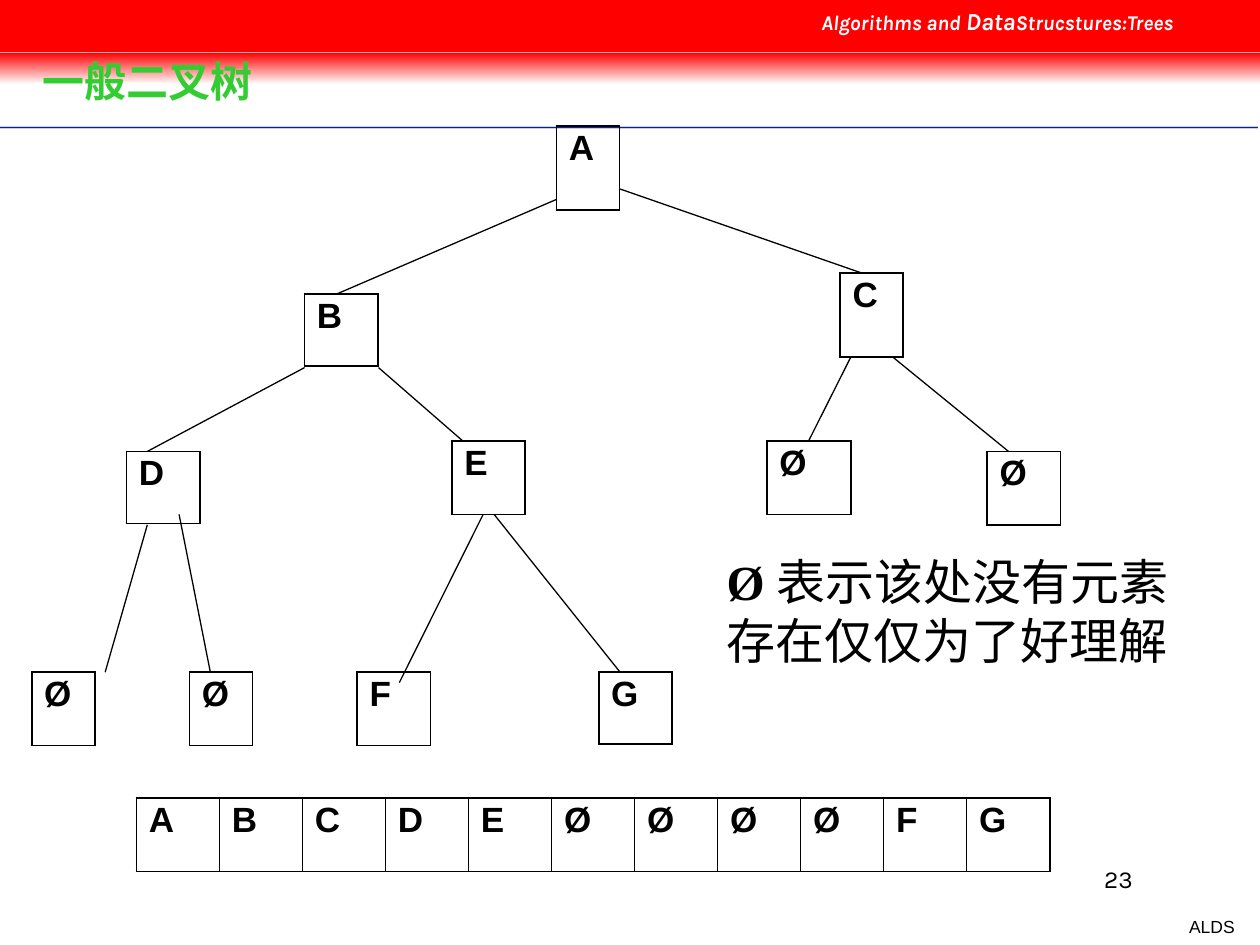
from lxml.etree import SubElement
from pptx import Presentation
from pptx.dml.color import RGBColor
from pptx.enum.shapes import MSO_CONNECTOR, MSO_SHAPE
from pptx.enum.text import MSO_ANCHOR, PP_ALIGN
from pptx.oxml.ns import qn
from pptx.util import Cm, Pt

BLACK = RGBColor(0x00, 0x00, 0x00)
WHITE = RGBColor(0xFF, 0xFF, 0xFF)
RED = RGBColor(0xFF, 0x00, 0x00)
GREEN = RGBColor(0x33, 0xCC, 0x33)
NAVY = RGBColor(0x00, 0x27, 0x9F)
SILVER = RGBColor(0xCE, 0xCE, 0xCE)

OUTER, INNER = 1.08, 0.45
EMPTY = "Ø"

# label, left, top, width, height in cm inside the tree's box
NODES = [
    ("A", 10.58, 0, 1.27, 1.69),
    ("B", 5.5, 3.39, 1.48, 1.45),
    ("C", 16.3, 2.96, 1.27, 1.69),
    ("D", 1.91, 6.56, 1.48, 1.45),
    ("E", 8.47, 6.35, 1.48, 1.48),
    ("F", 6.56, 11.01, 1.48, 1.48),
    ("G", 11.43, 11.01, 1.48, 1.45),
    (EMPTY, 14.82, 6.35, 1.69, 1.48),
    (EMPTY, 19.26, 6.56, 1.48, 1.48),
    (EMPTY, 0, 11.01, 1.27, 1.48),
    (EMPTY, 3.18, 11.01, 1.27, 1.48),
]
# parent end and child end of each branch
BRANCHES = [
    ((10.58, 1.48), (6.14, 3.39)),
    ((11.86, 1.27), (16.72, 2.96)),
    ((5.5, 4.87), (2.33, 6.56)),
    ((6.99, 4.87), (8.69, 6.35)),
    ((16.51, 4.66), (15.66, 6.35)),
    ((17.36, 4.66), (19.69, 6.56)),
    ((2.33, 8.04), (1.48, 11.01)),
    ((2.97, 7.83), (3.6, 11.01)),
    ((9.1, 7.83), (7.41, 11.22)),
    ((9.32, 7.83), (11.86, 11.01)),
]
LEVEL_ORDER = ["A", "B", "C", "D", "E", *[EMPTY] * 4, "F", "G"]


def style_font(font, name, size, color, bold=False, italic=False):
    font.name, font.size = name, Pt(size)
    font.bold, font.italic = bold, italic
    font.color.rgb = color


def add_line(slide, start, end, color, width):
    line = slide.shapes.add_connector(
        MSO_CONNECTOR.STRAIGHT, *[Cm(value) for value in (*start, *end)])
    line.line.color.rgb = color
    line.line.width = Pt(width)
    SubElement(line._element.spPr, qn("a:effectLst"))


def add_paragraph_box(slide, left, top, width, height, wrap=True):
    """Add a text box and return its first paragraph."""
    frame = slide.shapes.add_textbox(
        Cm(left), Cm(top), Cm(width), Cm(height)).text_frame
    frame.word_wrap = wrap
    return frame.paragraphs[0]


def add_border(cell, side, width):
    border = SubElement(cell._tc.get_or_add_tcPr(), qn(f"a:ln{side}"),
                        w=str(Pt(width)))
    fill = SubElement(border, qn("a:solidFill"))
    SubElement(fill, qn("a:srgbClr"), val=str(BLACK))


def add_cells(slide, labels, left, top, width, height):
    """Add a one-row table with a heavy frame and thin inner borders."""
    table = slide.shapes.add_table(
        1, len(labels), Cm(left), Cm(top), Cm(width), Cm(height)).table
    table.first_row = table.horz_banding = False
    last = len(labels) - 1
    for column, label in enumerate(labels):
        cell = table.cell(0, column)
        cell.margin_left = cell.margin_right = Cm(0.25)
        cell.margin_top = cell.margin_bottom = Cm(0.13)
        paragraph = cell.text_frame.paragraphs[0]
        paragraph.text = label
        paragraph.line_spacing = 0.9
        paragraph.space_after = Pt(12.5)
        style_font(paragraph.font, "Arial", 20, BLACK, bold=True)
        add_border(cell, "L", OUTER if column == 0 else INNER)
        add_border(cell, "R", OUTER if column == last else INNER)
        add_border(cell, "T", OUTER)
        add_border(cell, "B", OUTER)
        cell.fill.background()


def add_header(slide, left, top, width):
    """Draw the rules, the red band fading to white and the course name."""
    for offset, color, weight in [(2.57, SILVER, 2), (2.57, NAVY, 1),
                                  (2.62, WHITE, 1)]:
        add_line(slide, (left, top + offset),
                 (left + width - 0.05, top + offset), color, weight)

    band_height, fade_height = 1.06, 0.64
    fade, band = [
        slide.shapes.add_shape(MSO_SHAPE.RECTANGLE, Cm(left), Cm(y),
                               Cm(width), Cm(height))
        for y, height in [(top + band_height, fade_height),
                          (top, band_height)]]
    for strip in (fade, band):
        strip.shadow.inherit = False
        strip.line.fill.background()
    band.fill.solid()
    band.fill.fore_color.rgb = RED
    fade.fill.gradient()
    fade.fill.gradient_angle = 270
    for stop, color, position in zip(fade.fill.gradient_stops,
                                     (RED, WHITE), (0, 1)):
        stop.color.rgb = color
        stop.position = position

    course = add_paragraph_box(slide, left + 16.31, top, 9.09, 0.86)
    course.space_before = Pt(7.5)
    for text, size in [("Algorithms and ", 12), ("Data", 14),
                       ("Strucstures:Trees", 12)]:
        run = course.add_run()
        run.text = text
        style_font(run.font, "Karla", size, WHITE, bold=True, italic=True)


def add_footer(slide, left, top):
    course_code = add_paragraph_box(slide, left + 5.51, top + 1.04,
                                    1.42, 0.69, wrap=False)
    course_code.text = "ALDS"
    course_code.space_before = Pt(6.2)
    page_number = add_paragraph_box(slide, left, top, 4.88, 1.27)
    page_number.text = "23"
    for paragraph, font, size in [(course_code, "Arial", 10),
                                  (page_number, "Karla", 14)]:
        paragraph.alignment = PP_ALIGN.RIGHT
        style_font(paragraph.font, font, size, BLACK)


def add_tree(slide, left, top):
    for label, x, y, width, height in NODES:
        add_cells(slide, [label], left + x, top + y, width, height)
    for parent, child in BRANCHES:
        start, end = [(left + x, top + y) for x, y in (parent, child)]
        add_line(slide, start, end, BLACK, 0.75)


def add_legend(slide, left, top, width, height):
    legend = add_paragraph_box(slide, left, top, width, height)
    for text, bold in [(EMPTY + " ", True),
                       ("表示该处没有元素存在仅仅为了好理解", False)]:
        run = legend.add_run()
        run.text = text
        style_font(run.font, "Times New Roman", 28, BLACK, bold=bold)


def place_title(slide, left, top, width, height):
    title = slide.shapes.title
    title.left, title.top = Cm(left), Cm(top)
    title.width, title.height = Cm(width), Cm(height)
    frame = title.text_frame
    frame.margin_left = frame.margin_right = 0
    frame.margin_top = frame.margin_bottom = 0
    frame.vertical_anchor = MSO_ANCHOR.MIDDLE
    heading = frame.paragraphs[0]
    heading.text = "一般二叉树"
    heading.alignment = PP_ALIGN.LEFT
    heading.line_spacing = 0.9
    style_font(heading.font, "Arial", 24, GREEN, bold=True)
    # The title lies over the red band, so it goes to the front.
    slide.shapes._spTree.append(title._element)


def main():
    presentation = Presentation()
    presentation.slide_width, presentation.slide_height = Cm(25.4), Cm(19.05)
    slide = presentation.slides.add_slide(presentation.slide_layouts[5])
    add_header(slide, 0, 0, 25.4)
    add_footer(slide, 18.21, 17.3)
    add_tree(slide, 0.64, 2.54)
    add_legend(slide, 14.4, 11, 9.98, 2.64)
    add_cells(slide, LEVEL_ORDER, 2.75, 16.09, 18.42, 1.48)
    place_title(slide, 0.85, 1.06, 6.99, 1.27)
    presentation.save("out.pptx")


if __name__ == "__main__":
    main()
